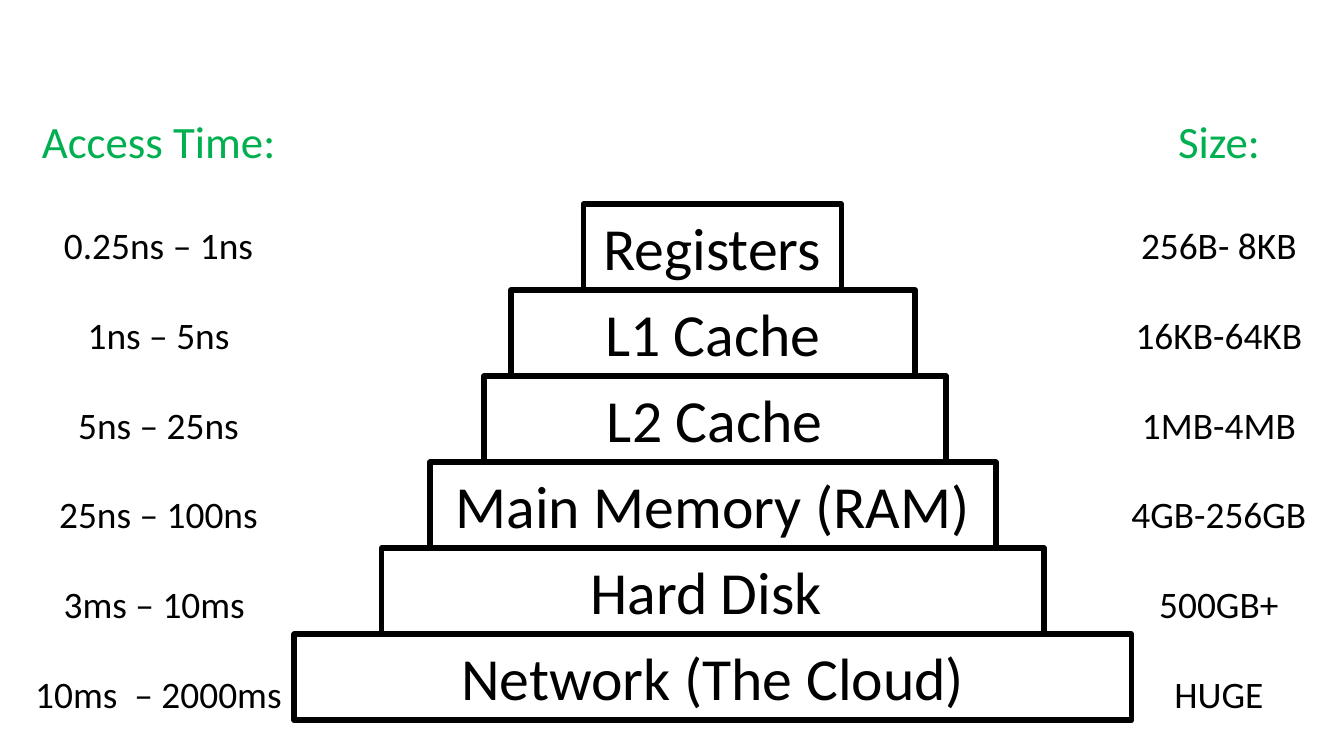
import pptx
import pptx.util
import pptx.dml.color
import pptx.enum.shapes
import pptx.enum.text

Inches = pptx.util.Inches
Pt = pptx.util.Pt
RGBColor = pptx.dml.color.RGBColor
BLACK = RGBColor(0x00, 0x00, 0x00)
GREEN = RGBColor(0x00, 0xB0, 0x50)

HEAD = {"name": "Calibri", "size": Pt(24)}
BODY = {"name": "Calibri", "size": Pt(20)}
LABEL = {"name": "Calibri", "size": Pt(32)}
FRAME = {
    "word_wrap": True,
    "auto_size": pptx.enum.text.MSO_AUTO_SIZE.SHAPE_TO_FIT_TEXT,
    "vertical_anchor": pptx.enum.text.MSO_ANCHOR.TOP,
}


def style(item, form):
    for key, value in form.items():
        setattr(item, key, value)


def write(para, text, form, color):
    para.alignment = pptx.enum.text.PP_ALIGN.CENTER
    run = para.add_run()
    run.text = text
    style(run.font, form)
    run.font.color.rgb = color


deck = pptx.Presentation()
style(deck, {"slide_width": Inches(10), "slide_height": Inches(10) * 9 // 16})
slide = deck.slides.add_slide(deck.slide_layouts[6])

columns = [
    (8.22, 1.7, "Size:",
     ["256B- 8KB", "16KB-64KB", "1MB-4MB", "4GB-256GB", "500GB+", "HUGE"]),
    (0.09, 2.18, "Access Time:",
     ["0.25ns – 1ns", "1ns – 5ns", "5ns – 25ns", "25ns – 100ns",
      "3ms – 10ms ", "10ms  – 2000ms"]),
]
for left, width, title, values in columns:
    box = slide.shapes.add_textbox(Inches(left), Inches(0.8), Inches(width), Inches(4.61))
    frame = box.text_frame
    style(frame, FRAME)
    write(frame.paragraphs[0], title, HEAD, GREEN)
    for row, value in enumerate(values):
        para = frame.add_paragraph()
        para.space_before = Pt(24 if row else 29.3)
        write(para, value, BODY, BLACK)

levels = [
    ("Registers", 4.34, 1.92),
    ("L1 Cache", 3.8, 3.01),
    ("L2 Cache", 3.6, 3.44),
    ("Main Memory (RAM)", 3.2, 4.21),
    ("Hard Disk ", 2.84, 4.93),
    ("Network (The Cloud)", 2.19, 6.23),
]
step = 0.64
for row, (name, left, width) in reversed(list(enumerate(levels))):
    block = slide.shapes.add_shape(
        pptx.enum.shapes.MSO_SHAPE.RECTANGLE,
        Inches(left), Inches(1.52 + row * step), Inches(width), Inches(step))
    block.shadow.inherit = False
    block.fill.background()
    block.line.color.rgb = BLACK
    block.line.width = Pt(3)
    style(block.text_frame, FRAME)
    write(block.text_frame.paragraphs[0], name, LABEL, BLACK)

deck.save("out.pptx")
